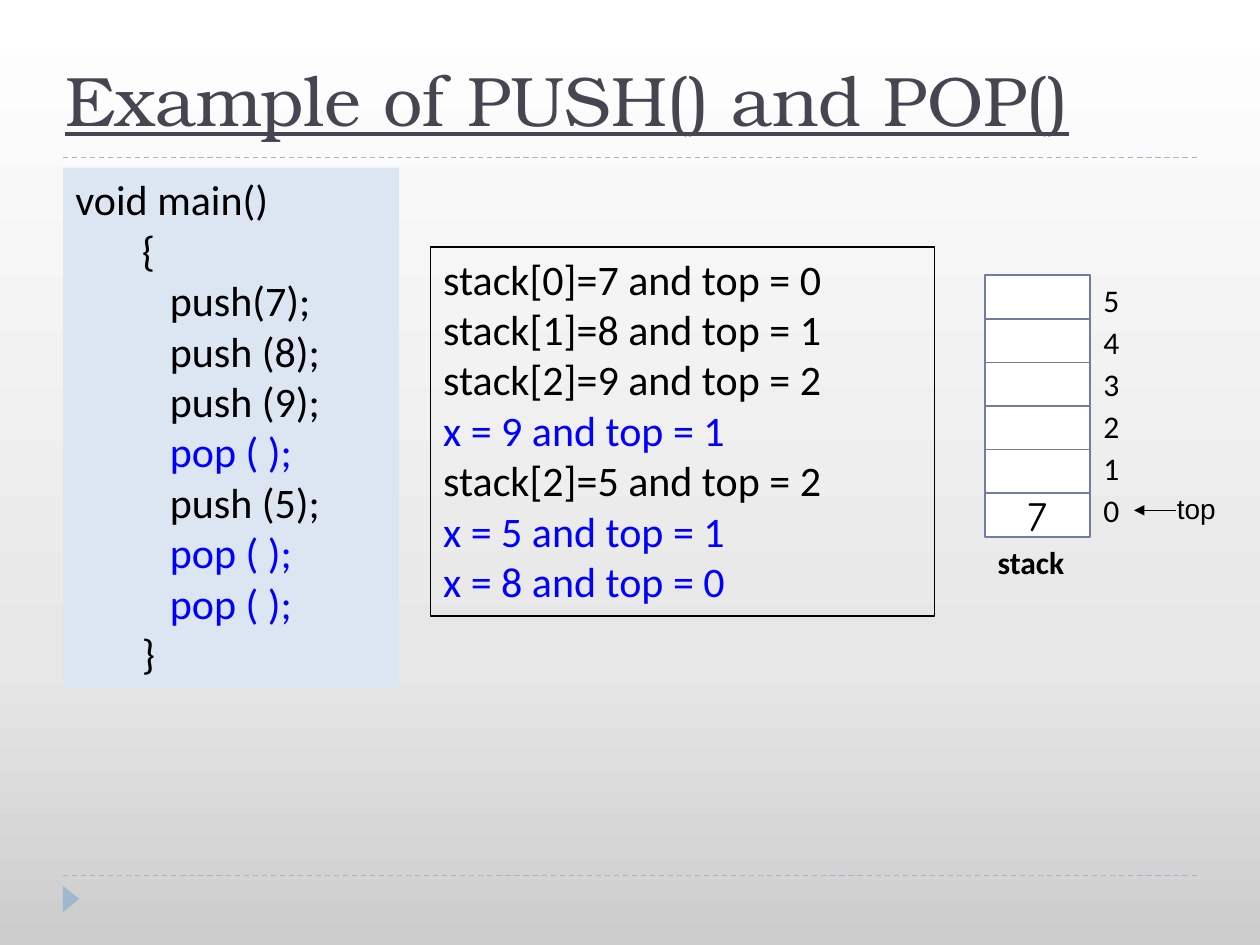
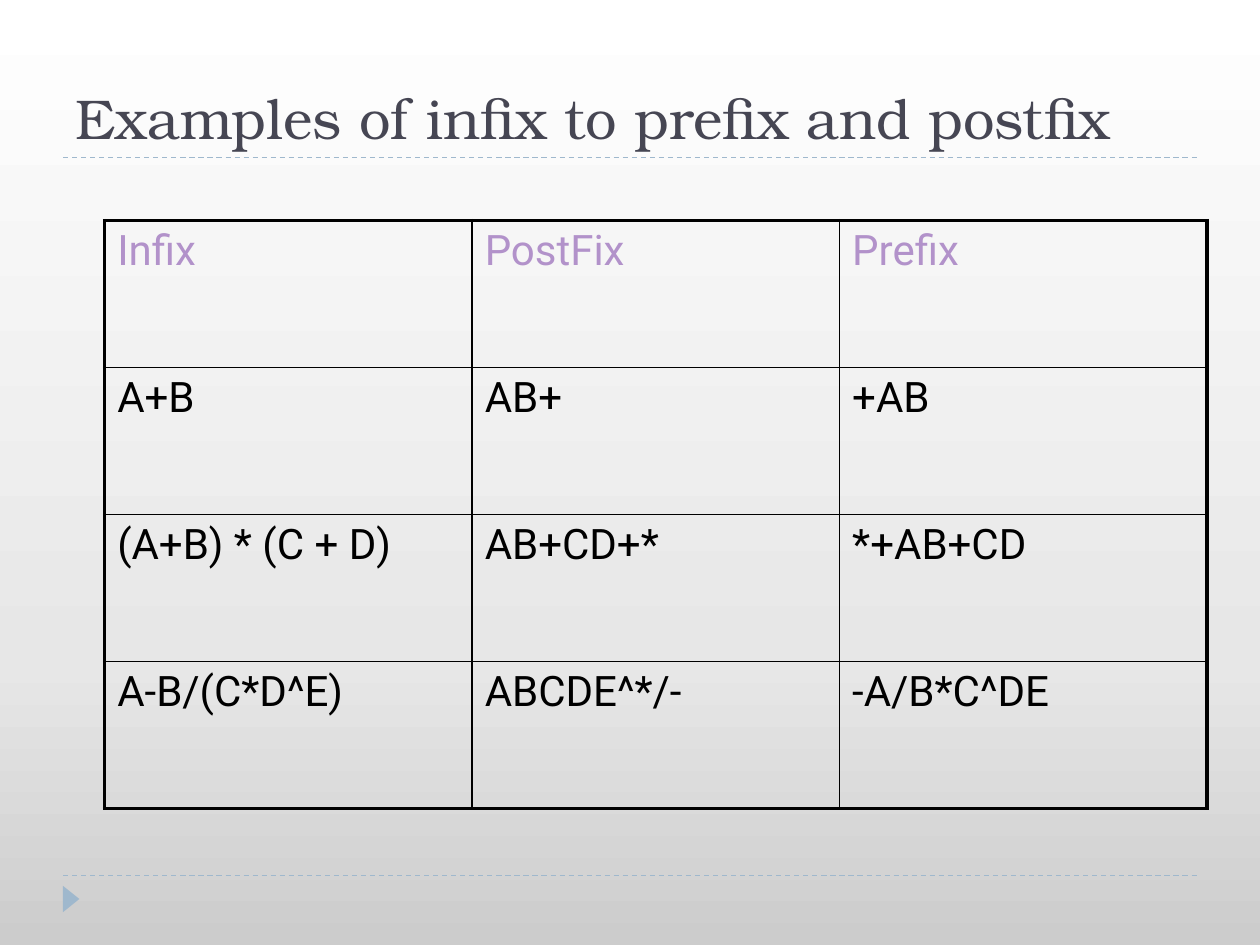
from copy import deepcopy
from dataclasses import dataclass

from lxml.etree import SubElement
from pptx import Presentation
from pptx.dml.color import RGBColor
from pptx.enum.dml import MSO_LINE
from pptx.enum.shapes import MSO_CONNECTOR, MSO_SHAPE
from pptx.enum.text import MSO_ANCHOR, MSO_AUTO_SIZE, PP_ALIGN
from pptx.oxml.ns import qn
from pptx.util import Pt


@dataclass(frozen=True)
class Theme:
    """Colours, fonts and type sizes of the deck."""
    title: str = "464653"
    accent: str = "9FB8CD"
    stack_line: str = "727CA3"
    code_fill: str = "DCE6F2"
    heading: str = "B292CA"
    pop: str = "0000FF"
    black: str = "000000"
    white: str = "FFFFFF"
    background: tuple = ((0, "CCCCCC"), (0.3, "E7E7E7"), (1, "FFFFFF"))
    title_font: str = "TeX Gyre Bonum"
    body_font: str = "Calibri"
    table_font: str = "Roboto"
    stack_font: str = "Comic Neue"
    label_font: str = "Arial"
    body_size: int = 24
    label_size: int = 18
    pointer_size: int = 16
    thin: float = 0.75
    medium: float = 1
    thick: float = 2.25


THEME = Theme()

# Each code line: indent in points, text
CODE = [(0, "void main()"), (38, "{"), (54, "push(7);"), (54, "push (8);"),
        (54, "push (9);"), (54, "pop ( );"), (54, "push (5);"),
        (54, "pop ( );"), (54, "pop ( );"), (38, "}")]
TRACE = ["stack[0]=7 and top = 0", "stack[1]=8 and top = 1",
         "stack[2]=9 and top = 2", "x = 9 and top = 1",
         "stack[2]=5 and top = 2", "x = 5 and top = 1", "x = 8 and top = 0"]
NOTATIONS = [["Infix", "PostFix", "Prefix"],
             ["A+B", "AB+", "+AB"],
             ["(A+B) * (C + D)", "AB+CD+*", "*+AB+CD"],
             ["A-B/(C*D^E)", "ABCDE^*/-", "-A/B*C^DE"]]
STACK_SIZE = 6


def rgb(colour):
    """Turn a hex string into a colour."""
    return RGBColor.from_string(colour)


def box(left, top, width, height):
    """Turn a frame in points into lengths."""
    return Pt(left), Pt(top), Pt(width), Pt(height)


def style_font(font, name, size, colour, bold=False):
    """Set the face, size and colour of a font."""
    font.name, font.size, font.bold = name, Pt(size), bold
    font.color.rgb = rgb(colour)


def set_background(master):
    """Give the master the vertical grey gradient."""
    fill = master.background.fill
    fill.gradient()
    fill.gradient_angle = 90
    stop_list = master.element.find(".//" + qn("a:gsLst"))
    stop_list.append(deepcopy(stop_list[-1]))
    for stop, (position, colour) in zip(fill.gradient_stops, THEME.background):
        stop.position = position
        stop.color.rgb = rgb(colour)


def add_line(slide, start, end, colour):
    """Add a thin straight line without a shadow."""
    line = slide.shapes.add_connector(
        MSO_CONNECTOR.STRAIGHT, *map(Pt, start), *map(Pt, end))
    line.line.color.rgb = rgb(colour)
    line.line.width = Pt(THEME.thin)
    SubElement(line.element.spPr, qn("a:effectLst"))
    return line


def add_shape(shapes, kind, frame, fill=None, outline=None, width=THEME.thin):
    """Add a flat preset shape."""
    shape = shapes.add_shape(kind, *box(*frame))
    shape.shadow.inherit = False
    if fill:
        shape.fill.solid()
        shape.fill.fore_color.rgb = rgb(fill)
    else:
        shape.fill.background()
    if outline:
        shape.line.color.rgb = rgb(outline)
        shape.line.width = Pt(width)
    else:
        shape.line.fill.background()
    return shape


def add_label(slide, text, frame, font=THEME.body_font, size=THEME.label_size,
              bold=False, align=PP_ALIGN.LEFT):
    """Add a one-line label."""
    label = slide.shapes.add_textbox(*box(*frame))
    label.text_frame.word_wrap = False
    paragraph = label.text_frame.paragraphs[0]
    paragraph.text, paragraph.alignment = text, align
    style_font(paragraph.font, font, size, THEME.black, bold)


def add_listing(slide, frame, lines, pop_prefix, fill=None, outline=None):
    """Add a box of indented lines, with the pop lines in their own colour."""
    shape = add_shape(slide.shapes, MSO_SHAPE.RECTANGLE, frame, fill, outline)
    text_frame = shape.text_frame
    text_frame.word_wrap = True
    text_frame.vertical_anchor = MSO_ANCHOR.TOP
    for index, (indent, text) in enumerate(lines):
        paragraph = text_frame.add_paragraph() if index else text_frame.paragraphs[0]
        paragraph.text, paragraph.alignment = text, PP_ALIGN.LEFT
        paragraph._p.get_or_add_pPr().set("marL", str(Pt(indent)))
        colour = THEME.pop if text.startswith(pop_prefix) else THEME.black
        style_font(paragraph.font, THEME.body_font, THEME.body_size, colour)


def add_stack(slide):
    """Add the stack cells from the bottom up, with indices and the top pointer."""
    left, top, cell_pitch, label_pitch = 563, 157, 24.9, 24
    cells = slide.shapes.add_group_shape().shapes
    for index in range(STACK_SIZE):
        row = STACK_SIZE - 1 - index
        cell = add_shape(cells, MSO_SHAPE.RECTANGLE,
                         (left, top + row * cell_pitch, 59.8, 25.2),
                         THEME.white, THEME.stack_line, THEME.medium)
        if index == 0:
            cell.text_frame.word_wrap = False
            paragraph = cell.text_frame.paragraphs[0]
            paragraph.text, paragraph.alignment = "7", PP_ALIGN.CENTER
            style_font(paragraph.font, THEME.stack_font, THEME.body_size, THEME.black)
        add_label(slide, str(index),
                  (623.4, top + row * label_pitch, 24.5, 28.8))
    add_label(slide, "stack", (left, 306.7, 61.9, 28.8), bold=True)
    add_label(slide, "top", (665.3, 277.2, 36.7, 26.6), THEME.label_font,
              THEME.pointer_size, align=PP_ALIGN.CENTER)
    arrow = add_line(slide, (671.8, 291.6), (648, 291.6), THEME.black)
    SubElement(arrow.line._get_or_add_ln(), qn("a:tailEnd"), type="triangle")


def set_border(cell, side, width):
    """Draw one side (L, R, T or B) of a table cell."""
    line = SubElement(cell._tc.get_or_add_tcPr(), qn("a:ln" + side),
                      w=str(Pt(width)))
    SubElement(SubElement(line, qn("a:solidFill")), qn("a:srgbClr"),
               val=THEME.black)


def add_grid(slide, frame, rows):
    """Add an unfilled table with a thick frame and thin inner lines."""
    last_row, last_column = len(rows) - 1, len(rows[0]) - 1
    table = slide.shapes.add_table(len(rows), len(rows[0]), *box(*frame)).table
    table.first_row = table.horz_banding = False
    for row, texts in enumerate(rows):
        for column, text in enumerate(texts):
            cell = table.cell(row, column)
            outer = {"L": column == 0, "R": column == last_column,
                     "T": row == 0, "B": row == last_row}
            for side, is_outer in outer.items():
                set_border(cell, side, THEME.thick if is_outer else THEME.medium)
            cell.fill.background()
            paragraph = cell.text_frame.paragraphs[0]
            paragraph.text = text
            style_font(paragraph.font, THEME.table_font, THEME.body_size,
                       THEME.black if row else THEME.heading)


def add_slide(presentation, title, frame, size, underline=False):
    """Add a slide with its title, the two dashed rules and the corner marker."""
    slide = presentation.slides.add_slide(presentation.slide_layouts[5])
    for height in (500.4, 90):
        rule = add_line(slide, (36, height), (684, height), THEME.accent)
        rule.line.dash_style = MSO_LINE.DASH
    marker = add_shape(slide.shapes, MSO_SHAPE.ISOSCELES_TRIANGLE,
                       (33.1, 509, 15.1, 9.4), THEME.accent)
    marker.rotation = 90

    shape = slide.shapes.title
    shape.left, shape.top, shape.width, shape.height = box(*frame)
    text_frame = shape.text_frame
    text_frame.auto_size = MSO_AUTO_SIZE.NONE
    text_frame.vertical_anchor = MSO_ANCHOR.BOTTOM
    paragraph = text_frame.paragraphs[0]
    paragraph.text, paragraph.alignment = title, PP_ALIGN.LEFT
    style_font(paragraph.font, THEME.title_font, size, THEME.title)
    paragraph.font.underline = underline
    return slide


def main():
    """Build and save the deck."""
    presentation = Presentation()
    presentation.slide_width, presentation.slide_height = Pt(720), Pt(540)
    set_background(presentation.slide_master)

    slide = add_slide(presentation, "Example of PUSH() and POP()",
                      (30.2, -5.8, 648, 90), 40, underline=True)
    add_stack(slide)
    add_listing(slide, (36, 95.8, 192, 298), CODE, "pop", fill=THEME.code_fill)
    add_listing(slide, (246.2, 141.1, 288, 211), [(0, line) for line in TRACE],
                "x", outline=THEME.black)

    slide = add_slide(presentation, "Examples of infix to prefix and postfix",
                      (36, 12.2, 648, 77.8), 32)
    add_grid(slide, (59.8, 126, 630, 336), NOTATIONS)

    presentation.save("out.pptx")


main()
